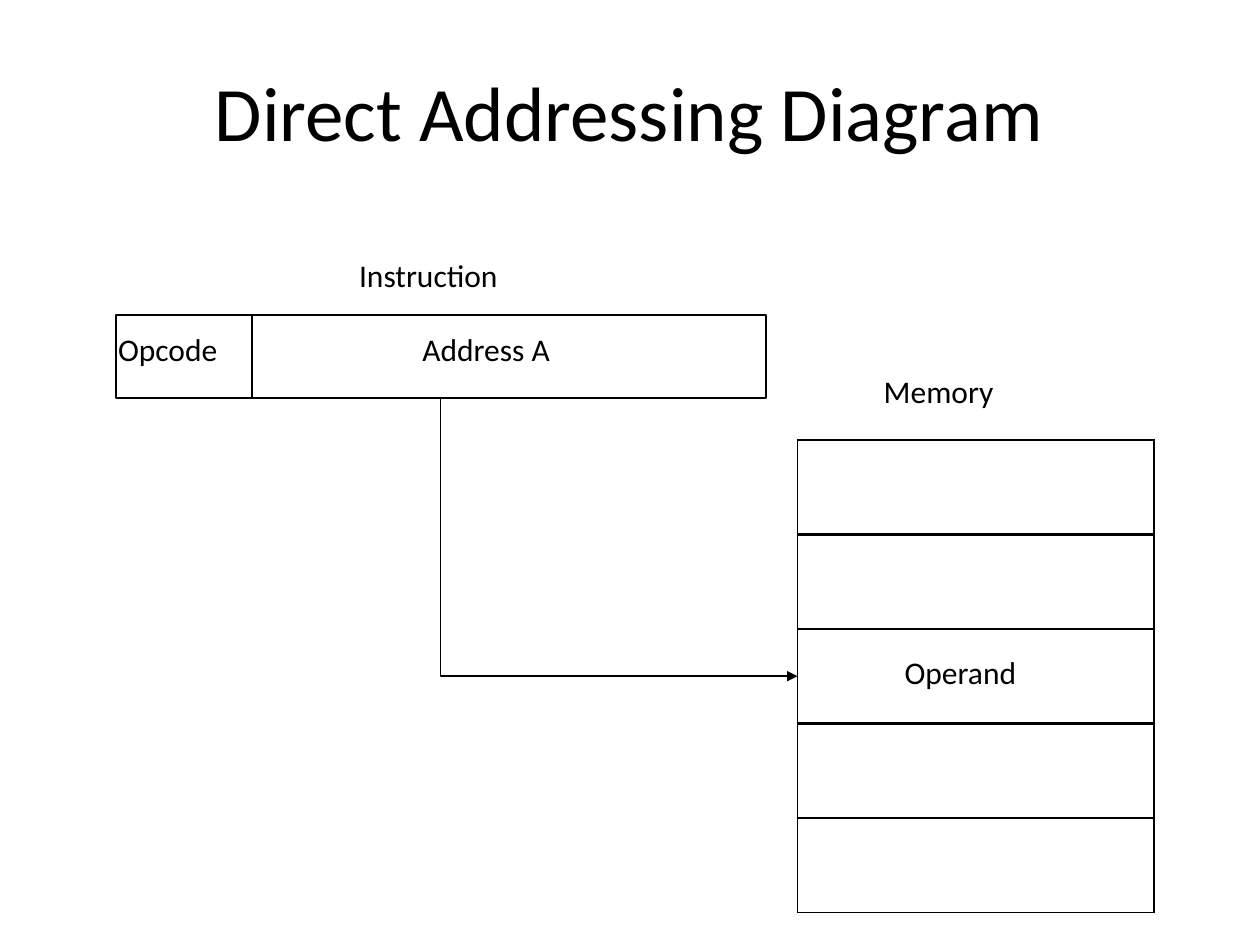
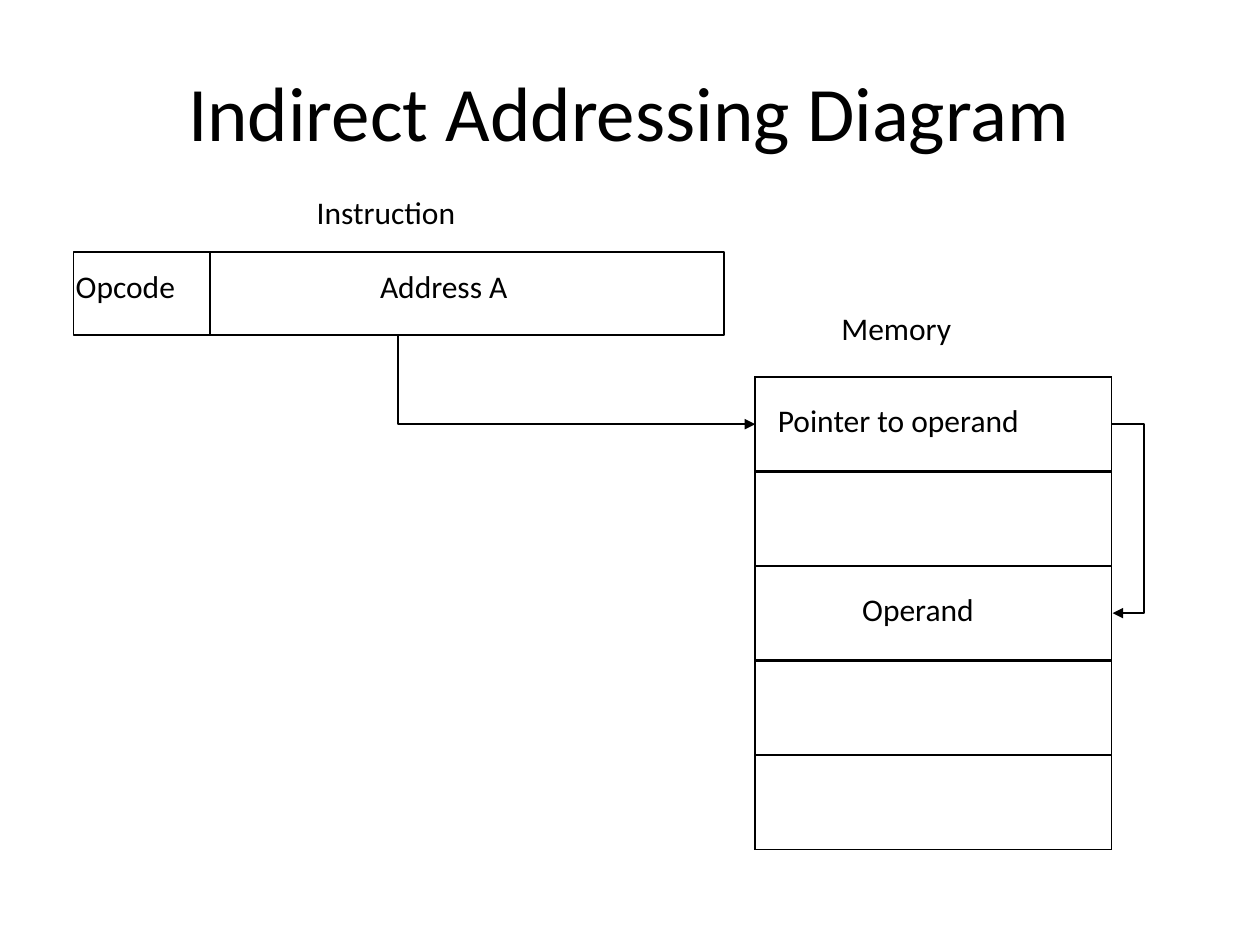
from dataclasses import dataclass

from lxml.etree import SubElement as Sub
from pptx import Presentation as Deck
from pptx.dml.color import RGBColor as Rgb
from pptx.enum.shapes import MSO_SHAPE as Form
from pptx.enum.text import MSO_ANCHOR as Anchor, MSO_AUTO_SIZE as Auto, PP_ALIGN as Align
from pptx.oxml import parse_xml as parse
from pptx.oxml.ns import nsdecls, qn
from pptx.util import Pt


@dataclass(frozen=True)
class Theme:
    ink: str = "000000"
    font: str = "Calibri"
    head: int = 44
    body: int = 18
    line: float = 1
    rule: float = 1.5


@dataclass(frozen=True)
class Grid:
    """Sizes of the diagram, with offsets from the corner of the opcode box."""
    code: float = 78
    addr: float = 293.6
    high: float = 47.5
    drop: float = 185.5
    mem_x: float = 389.5
    mem_y: float = 71.4
    mem_w: float = 203.8
    row: float = 54
    rows: int = 5
    loop: float = 18.5


theme = Theme()
grid = Grid()
INK = Rgb.from_string(theme.ink)


def pad(box, left, top):
    """Set the insets of a text frame or a table cell."""
    box.margin_left, box.margin_top = Pt(left), Pt(top)
    box.margin_right = box.margin_bottom = 0
    box.vertical_anchor = Anchor.TOP


def write(frame, text, size=theme.body):
    para = frame.paragraphs[0]
    para.alignment = Align.LEFT
    run = para.add_run()
    run.text = text
    run.font.name, run.font.size = theme.font, Pt(size)
    run.font.color.rgb = INK


def fill_frame(frame, text, left, top, size=theme.body):
    frame.word_wrap = True
    frame.auto_size = Auto.NONE
    pad(frame, left, top)
    write(frame, text, size)


def set_title(slide, text, width):
    head = slide.shapes.title
    head.left, head.top = Pt((720 - width) / 2), Pt(36)
    head.width, head.height = Pt(width), Pt(55)
    fill_frame(head.text_frame, text, 1, 1, theme.head)


def add_label(slide, text, x, y, width):
    box = slide.shapes.add_textbox(Pt(x), Pt(y), Pt(width), Pt(24))
    fill_frame(box.text_frame, text, 1, 1)


def outline(shape):
    shape.shadow.inherit = False
    shape.fill.background()
    shape.line.color.rgb = INK
    shape.line.width = Pt(theme.line)


def add_field(slide, text, x, y, width, indent):
    box = slide.shapes.add_shape(Form.RECTANGLE, Pt(x), Pt(y), Pt(width), Pt(grid.high))
    outline(box)
    fill_frame(box.text_frame, text, indent, 8.5)


def add_arrow(slide, *points):
    """Draw one bent line through the points, with a head at its end."""
    first, *rest = [(Pt(x), Pt(y)) for x, y in points]
    path = slide.shapes.build_freeform(*first)
    path.add_line_segments(rest, close=False)
    arrow = path.convert_to_shape()
    outline(arrow)
    Sub(arrow.line._get_or_add_ln(), qn("a:tailEnd"), type="triangle")


def set_edges(cell, edges):
    """Put the borders, given as side and width, ahead of the cell's fill."""
    props = cell._tc.get_or_add_tcPr()
    for spot, (side, width) in enumerate(edges.items()):
        props.insert(spot, parse(
            f'<a:ln{side} {nsdecls("a")} w="{Pt(width)}"><a:solidFill>'
            f'<a:srgbClr val="{theme.ink}"/></a:solidFill></a:ln{side}>'))


def add_memory(slide, x, y, words):
    """Draw the memory rows; words maps a row to its text and indent."""
    frame = slide.shapes.add_table(grid.rows, 1, Pt(x), Pt(y), Pt(grid.mem_w),
                                   Pt(grid.row * grid.rows))
    table = frame.table
    table.first_row = table.horz_banding = False
    for i in range(grid.rows):
        table.rows[i].height = Pt(grid.row)
        cell = table.cell(i, 0)
        cell.fill.background()
        top = theme.rule if i else theme.line
        low = theme.rule if i < grid.rows - 1 else theme.line
        set_edges(cell, {"L": theme.line, "R": theme.line, "T": top, "B": low})
        if i in words:
            text, indent = words[i]
            pad(cell, indent, 14.5)
            write(cell.text_frame, text)


def add_scheme(slide, x, y, words, target):
    """Draw instruction and memory, with an arrow from the address to a row."""
    add_label(slide, "Instruction", x + 138, y - 34.6, 81.5)
    add_field(slide, "Opcode", x, y, grid.code, 1.3)
    add_field(slide, "Address A", x + grid.code, y, grid.addr, 97.2)
    left, top = x + grid.mem_x, y + grid.mem_y
    add_label(slide, "Memory", left + 48.3, top - 39.7, 65)
    add_memory(slide, left, top, words)
    mid = mid_row(y, target)
    add_arrow(slide, (x + grid.drop, y + grid.high), (x + grid.drop, mid), (left, mid))


def mid_row(y, row):
    return y + grid.mem_y + (row + 0.5) * grid.row


def add_loop(slide, x, y, start, end):
    """Draw an arrow between two rows, around the right of the memory."""
    side = x + grid.mem_x + grid.mem_w
    high, low = mid_row(y, start), mid_row(y, end)
    out = side + grid.loop
    add_arrow(slide, (side, high), (out, high), (out, low), (side + 0.5, low))


def main():
    deck = Deck()
    deck.slide_width, deck.slide_height = Pt(720), Pt(540)
    plain = deck.slide_layouts.get_by_name("Title Only")
    operand = {2: ("Operand", 61.2)}
    pointer = {0: ("Pointer to operand", 13)}

    direct = deck.slides.add_slide(plain)
    set_title(direct, "Direct Addressing Diagram", 476.6)
    add_scheme(direct, 66.2, 180, operand, 2)

    hop = deck.slides.add_slide(plain)
    set_title(hop, "Indirect Addressing Diagram", 507)
    add_scheme(hop, 42, 144, operand | pointer, 0)
    add_loop(hop, 42, 144, 0, 2)

    deck.save("out.pptx")


if __name__ == "__main__":
    main()
